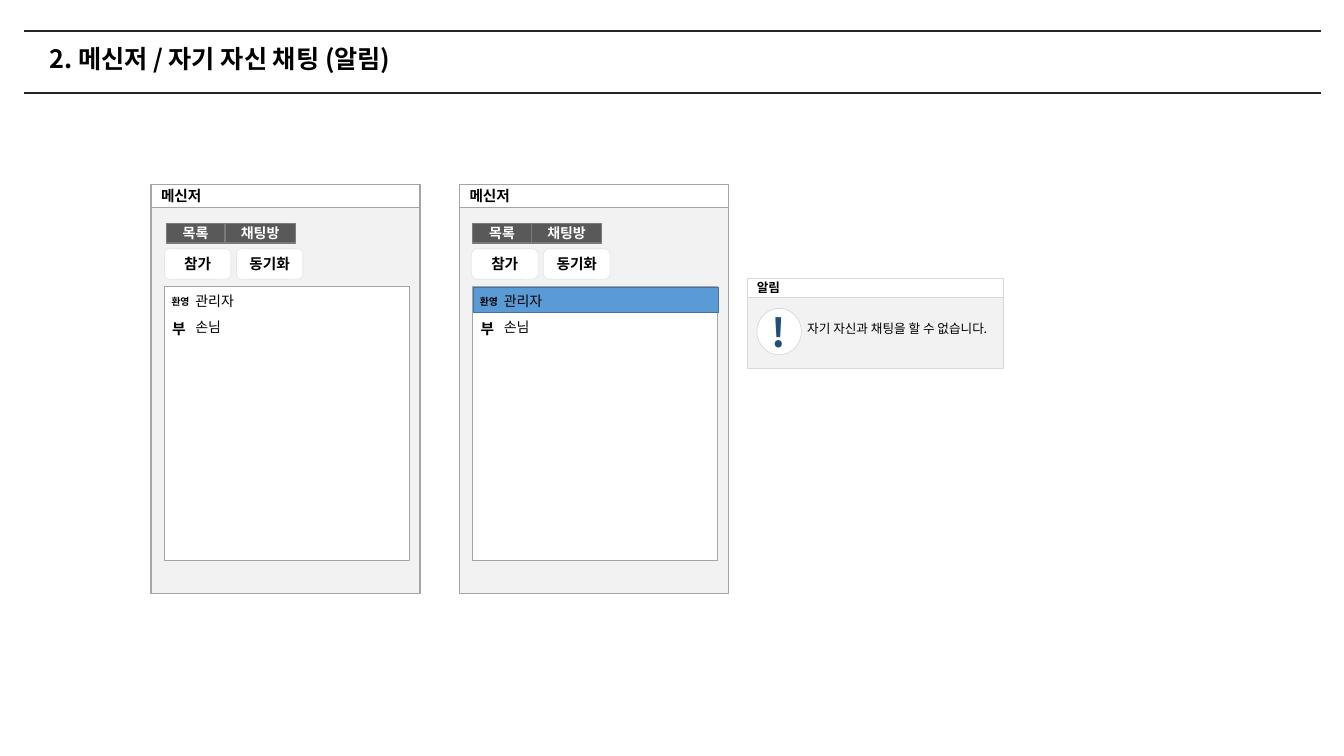
from dataclasses import dataclass
from typing import Optional

from lxml.etree import SubElement
from pptx import Presentation
from pptx.dml.color import RGBColor
from pptx.enum.shapes import MSO_CONNECTOR, MSO_SHAPE
from pptx.enum.text import MSO_ANCHOR, MSO_AUTO_SIZE, PP_ALIGN
from pptx.oxml.ns import qn
from pptx.util import Pt


@dataclass(frozen=True)
class Theme:
    font: str = "Noto Sans CJK KR"
    black: str = "000000"
    white: str = "FFFFFF"
    rule: str = "262626"
    panel: str = "F2F2F2"
    border: str = "A5A5A5"
    light_border: str = "D9D9D9"
    tab: str = "595959"
    tab_border: str = "7A7A7A"
    selected: str = "5B9BD5"
    selected_border: str = "43739E"
    mark: str = "1F4E79"
    title_size: float = 18
    label_size: float = 10.5
    body_size: float = 10
    small_size: float = 9
    badge_size: float = 7
    mark_size: float = 28


THEME = Theme()


@dataclass(frozen=True)
class Area:
    left: float
    top: float
    width: float
    height: float

    def lengths(self) -> tuple:
        return Pt(self.left), Pt(self.top), Pt(self.width), Pt(self.height)


@dataclass(frozen=True)
class Label:
    text: str
    size: float
    color: str = THEME.black
    bold: bool = True
    centered: bool = False


@dataclass(frozen=True)
class Style:
    fill: str
    border: str
    weight: float
    preset: MSO_SHAPE = MSO_SHAPE.RECTANGLE


@dataclass(frozen=True)
class Messenger:
    left: float
    tabs_left: float
    buttons_left: float
    selected: bool


@dataclass(frozen=True)
class Member:
    badge: Label
    badge_area: Area
    name: str
    name_top: float


WINDOW = Style(THEME.panel, THEME.border, 1)
WINDOW_BAR = Style(THEME.white, THEME.border, 1)
MEMBER_LIST = Style(THEME.white, THEME.border, 0.5)
SELECTED_ROW = Style(THEME.selected, THEME.selected_border, 1)
TAB = Style(THEME.tab, THEME.tab_border, 1)
BUTTON = Style(THEME.white, THEME.light_border, 0.25, MSO_SHAPE.ROUNDED_RECTANGLE)
ALERT = Style(THEME.panel, THEME.light_border, 0.5)
ALERT_BAR = Style(THEME.white, THEME.light_border, 0.5)
ALERT_ICON = Style(THEME.white, THEME.light_border, 0.5, MSO_SHAPE.OVAL)

WINDOW_TOP = 131.8
WINDOW_WIDTH = 192.2
MESSENGERS = (
    Messenger(108, 118.8, 117.4, False),
    Messenger(328.3, 337.7, 336.8, True),
)
MEMBERS = (
    Member(Label("환영", THEME.badge_size, centered=True), Area(3.6, 207.4, 34.6, 15.8), "관리자", 205.2),
    Member(Label("부", THEME.label_size, centered=True), Area(8.6, 224.6, 22.3, 20.2), "손님", 223.9),
)
TABS = (("목록", 41.8), ("채팅방", 50.4))
BUTTONS = ("참가", "동기화")
BUTTON_WIDTH = 47.5
BUTTON_STEP = 51.5


def write_label(shape, label: Label, anchor: MSO_ANCHOR, inset: float) -> None:
    frame = shape.text_frame
    frame.word_wrap = True
    frame.vertical_anchor = anchor
    frame.margin_left = frame.margin_right = Pt(0 if label.centered else 7.2)
    frame.margin_top = frame.margin_bottom = Pt(inset)
    paragraph = frame.paragraphs[0]
    paragraph.alignment = PP_ALIGN.CENTER if label.centered else PP_ALIGN.LEFT
    run = paragraph.add_run()
    run.text = label.text
    run.font.name = THEME.font
    run.font.size = Pt(label.size)
    run.font.bold = label.bold
    run.font.color.rgb = RGBColor.from_string(label.color)
    SubElement(run.font._element, qn("a:ea")).set("typeface", THEME.font)


def draw_box(slide, area: Area, style: Style, label: Optional[Label] = None) -> None:
    shape = slide.shapes.add_shape(style.preset, *area.lengths())
    shape.shadow.inherit = False
    shape.fill.solid()
    shape.fill.fore_color.rgb = RGBColor.from_string(style.fill)
    shape.line.color.rgb = RGBColor.from_string(style.border)
    shape.line.width = Pt(style.weight)
    if label:
        write_label(shape, label, MSO_ANCHOR.MIDDLE, 0)


def draw_text(slide, area: Area, label: Label) -> None:
    shape = slide.shapes.add_textbox(*area.lengths())
    write_label(shape, label, MSO_ANCHOR.TOP, 3.6)
    shape.text_frame.auto_size = MSO_AUTO_SIZE.SHAPE_TO_FIT_TEXT


def draw_header(slide) -> None:
    for top in (22.3, 66.2):
        rule = slide.shapes.add_connector(MSO_CONNECTOR.STRAIGHT, Pt(17.3), Pt(top), Pt(943.9), Pt(top))
        rule.line.color.rgb = RGBColor.from_string(THEME.rule)
        rule.line.width = Pt(1.5)
        SubElement(rule._element.spPr, qn("a:effectLst"))
    title = slide.shapes.add_textbox(*Area(28.1, 28.1, 910, 30.2).lengths())
    write_label(title, Label("2. 메신저 / 자기 자신 채팅 (알림)", THEME.title_size), MSO_ANCHOR.MIDDLE, 3.6)
    title.text_frame.paragraphs[0].line_spacing = 0.9


def draw_messenger(slide, messenger: Messenger) -> None:
    left = messenger.left
    draw_box(slide, Area(left, WINDOW_TOP, WINDOW_WIDTH, 292.3), WINDOW)
    draw_box(slide, Area(left, WINDOW_TOP, WINDOW_WIDTH, 16.6), WINDOW_BAR, Label("메신저", THEME.label_size))
    draw_box(slide, Area(left + 9.4, 204.5, 175, 195.8), MEMBER_LIST)
    if messenger.selected:
        draw_box(slide, Area(left + 10.1, 205.2, 175, 18), SELECTED_ROW)
    for member in MEMBERS:
        badge = member.badge_area
        draw_text(slide, Area(left + badge.left, badge.top, badge.width, badge.height), member.badge)
        name = Label(member.name, THEME.body_size, bold=False)
        draw_text(slide, Area(left + 24.5, member.name_top, 83.5, 19.4), name)
    tab_left = messenger.tabs_left
    for text, width in TABS:
        label = Label(text, THEME.body_size, THEME.white, centered=True)
        draw_box(slide, Area(tab_left, 159.8, width, 13.7), TAB, label)
        tab_left += width
    for index, text in enumerate(BUTTONS):
        area = Area(messenger.buttons_left + index * BUTTON_STEP, 177.8, BUTTON_WIDTH, 21.6)
        draw_box(slide, area, BUTTON, Label(text, THEME.label_size, centered=True))


def draw_alert(slide) -> None:
    left, top, width = 533.5, 198.7, 182.9
    draw_box(slide, Area(left, top, width, 64.1), ALERT)
    draw_box(slide, Area(left, top, width, 13.7), ALERT_BAR, Label("알림", THEME.small_size))
    draw_box(slide, Area(540.7, 220.3, 31.7, 33.1), ALERT_ICON)
    draw_text(slide, Area(544.3, 216.7, 43.2, 41), Label("!", THEME.mark_size, THEME.mark))
    message = Label("자기 자신과 채팅을 할 수 없습니다.", THEME.small_size, bold=False)
    draw_text(slide, Area(569.5, 225.4, 150.5, 18), message)


presentation = Presentation()
presentation.slide_width = Pt(960)
presentation.slide_height = Pt(540)
slide = presentation.slides.add_slide(presentation.slide_layouts[6])
draw_header(slide)
for messenger in MESSENGERS:
    draw_messenger(slide, messenger)
draw_alert(slide)
presentation.save("out.pptx")
